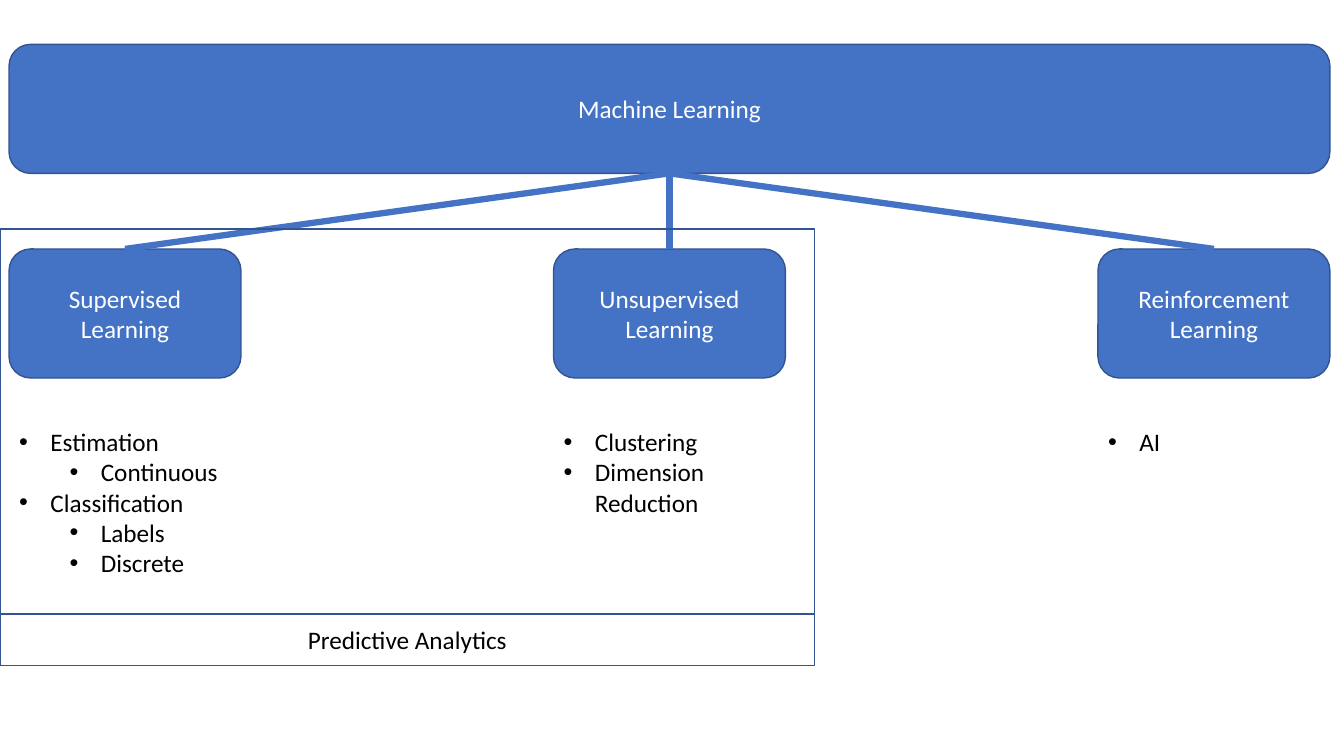
"""Builds the machine learning overview slide."""
from lxml import etree
from pptx import Presentation
from pptx import util as u
from pptx.dml.color import RGBColor
from pptx.enum import shapes, text
from pptx.oxml.ns import qn

COLORS = {"fill": "4472C4", "outline": "325491", "light": "FFFFFF", "dark": "000000"}
LEFT, COLUMN_STEP, BOX_WIDTH, BOX_HEIGHT = 0.09, 5.4, 2.3, 1.28
BAR_TOP, BOX_TOP, LIST_TOP = 0.44, 2.47, 4.18
BAR_WIDTH = 2 * COLUMN_STEP + BOX_WIDTH
FRAME_TOP, FRAME_WIDTH, FRAME_HEIGHT, CAPTION_HEIGHT = 2.27, 8.08, 3.82, 0.51
LINE_HEIGHT, INDENT, LEVEL_STEP = 0.3, 0.31, 0.5
BRANCHES = [
    ("Supervised Learning", [("Estimation", 0), ("Continuous", 1), ("Classification", 0),
                             ("Labels", 1), ("Discrete", 1)], 5),
    ("Unsupervised Learning", [("Clustering", 0), ("Dimension Reduction", 0)], 3),
    ("Reinforcement Learning", [("AI", 0)], 1),
]


def apply_format(target, values):
    """Set every attribute named in values on target."""
    for name, value in values.items():
        setattr(target, name, value)


def color(name):
    """Return a palette colour."""
    return RGBColor.from_string(COLORS[name])


def place(shape, left, top, width, height):
    """Position a shape, in inches."""
    sides = {"left": left, "top": top, "width": width, "height": height}
    apply_format(shape, {name: u.Inches(value) for name, value in sides.items()})


def format_paragraph(paragraph, font_color, alignment):
    """Give a paragraph the slide's font and tight spacing."""
    apply_format(paragraph, {"alignment": alignment, "line_spacing": 1.0,
                             "space_before": u.Pt(0), "space_after": u.Pt(0)})
    for run in paragraph.runs:
        apply_format(run.font, {"name": "Calibri", "size": u.Pt(18), "bold": False})
        run.font.color.rgb = color(font_color)


def write_centred(shape, wording, font_color):
    """Write one centred paragraph in a shape."""
    frame = shape.text_frame
    apply_format(frame, {"text": wording, "word_wrap": True,
                         "auto_size": text.MSO_AUTO_SIZE.NONE,
                         "vertical_anchor": text.MSO_ANCHOR.MIDDLE})
    format_paragraph(frame.paragraphs[0], font_color, text.PP_ALIGN.CENTER)


def add_box(slide, kind, bounds, fill=None):
    """Add an outlined box, filled when a colour is named."""
    box = slide.shapes.add_shape(kind, *map(u.Inches, bounds))
    box.shadow.inherit = False
    if fill:
        box.fill.solid()
        box.fill.fore_color.rgb = color(fill)
    else:
        box.fill.background()
    box.line.color.rgb = color("outline")
    box.line.width = u.Pt(1)
    return box


def add_branch_line(slide, parent, child):
    """Join the bottom of parent to the top of child."""
    line = slide.shapes.add_connector(shapes.MSO_CONNECTOR.STRAIGHT, 0, 0, 0, 0)
    line.begin_connect(parent, 2)
    line.end_connect(child, 0)
    line.line.color.rgb = color("fill")
    line.line.width = u.Pt(4.5)
    etree.SubElement(line._element.spPr, qn("a:effectLst"))


def add_bullet(paragraph, level):
    """Give a paragraph a bullet and the hanging indent of its level."""
    paragraph.level = level
    properties = paragraph._p.get_or_add_pPr()
    properties.set("marL", str(u.Inches(INDENT + level * LEVEL_STEP)))
    properties.set("indent", str(u.Inches(-INDENT)))
    etree.SubElement(properties, qn("a:buFont"), typeface="Arial")
    etree.SubElement(properties, qn("a:buChar"), char="•")


def fill_list(placeholder, items, left, line_count):
    """Place a body placeholder and write a bulleted list in it."""
    place(placeholder, left, LIST_TOP, BOX_WIDTH, 0.1 + LINE_HEIGHT * line_count)
    frame = placeholder.text_frame
    apply_format(frame, {"text": "\n".join(item for item, _ in items), "word_wrap": True,
                         "auto_size": text.MSO_AUTO_SIZE.NONE,
                         "vertical_anchor": text.MSO_ANCHOR.TOP})
    for paragraph, (_, level) in zip(frame.paragraphs, items):
        format_paragraph(paragraph, "dark", text.PP_ALIGN.LEFT)
        add_bullet(paragraph, level)


def main():
    """Build and save the slide."""
    presentation = Presentation()
    apply_format(presentation, {"slide_width": u.Inches(13.33), "slide_height": u.Inches(7.5)})
    slide = presentation.slides.add_slide(presentation.slide_layouts.get_by_name("Comparison"))
    title, *bodies = slide.placeholders
    rounded, rectangle = shapes.MSO_SHAPE.ROUNDED_RECTANGLE, shapes.MSO_SHAPE.RECTANGLE

    bar_bounds = (LEFT, BAR_TOP, BAR_WIDTH, BOX_HEIGHT)
    bar = add_box(slide, rounded, bar_bounds, "fill")
    place(title, *bar_bounds)
    write_centred(title, "Machine Learning", "light")
    bar._element.addnext(title._element)

    for column, (name, items, line_count) in enumerate(BRANCHES):
        left = LEFT + column * COLUMN_STEP
        box = add_box(slide, rounded, (left, BOX_TOP, BOX_WIDTH, BOX_HEIGHT), "fill")
        write_centred(box, name, "light")
        add_branch_line(slide, bar, box)
        fill_list(bodies[column], items, left, line_count)
    for unused in bodies[len(BRANCHES):]:
        unused._element.getparent().remove(unused._element)

    add_box(slide, rectangle, (0, FRAME_TOP, FRAME_WIDTH, FRAME_HEIGHT))
    caption = add_box(slide, rectangle,
                      (0, FRAME_TOP + FRAME_HEIGHT, FRAME_WIDTH, CAPTION_HEIGHT))
    write_centred(caption, "Predictive Analytics", "dark")
    presentation.save("out.pptx")


main()
